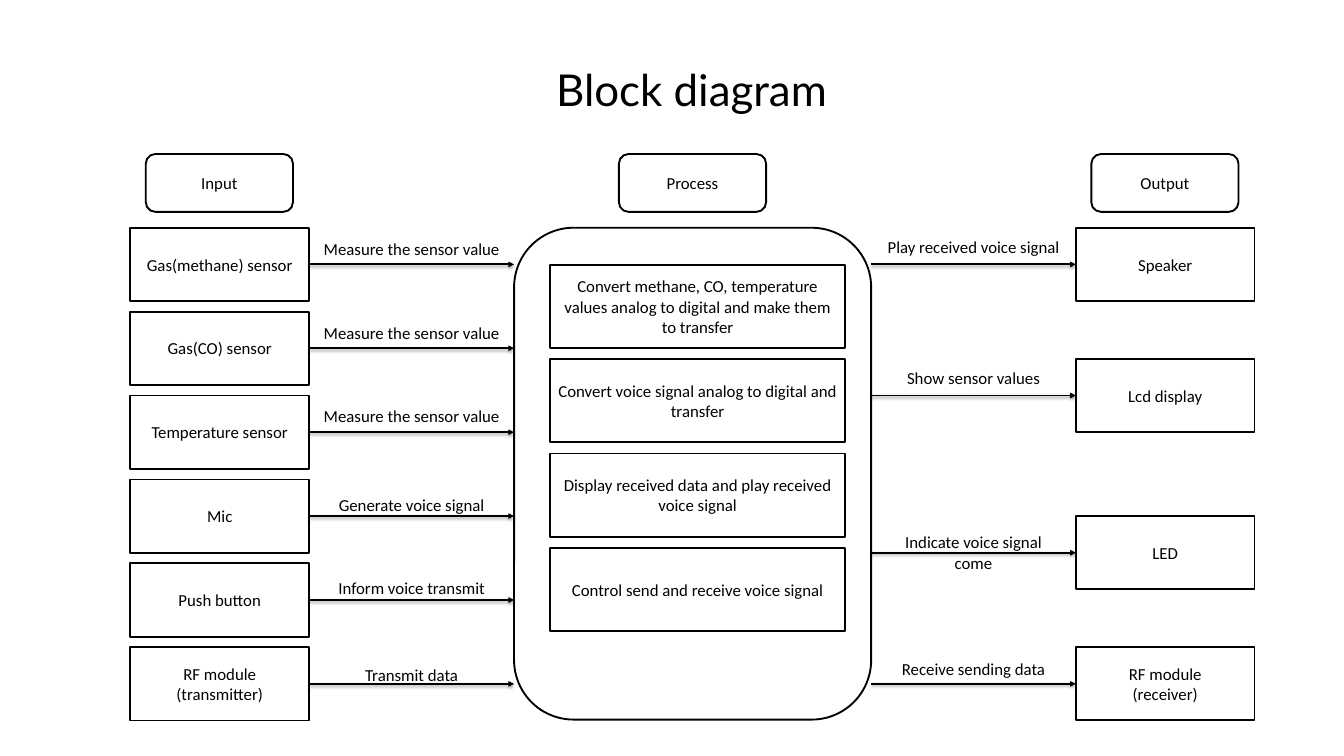
from dataclasses import dataclass

import pptx
import pptx.dml.color
import pptx.enum.shapes
import pptx.enum.text
import pptx.oxml
import pptx.oxml.ns
import pptx.util
from pptx.shapes.autoshape import Shape
from pptx.shapes.connector import Connector
from pptx.slide import Slide

Pt = pptx.util.Pt
Color = pptx.dml.color.RGBColor
Kind = pptx.enum.shapes.MSO_SHAPE
Anchor = pptx.enum.text.MSO_ANCHOR
Align = pptx.enum.text.PP_ALIGN


@dataclass(frozen=True)
class Theme:
    ink: Color = Color(0, 0, 0)
    paper: Color = Color(255, 255, 255)
    title_font: str = "Lato"
    body_font: str = "Calibri"
    title_size: float = 47
    body_size: float = 18
    line_width: float = 2


@dataclass(frozen=True)
class Frame:
    left: float
    top: float
    width: float
    height: float

    @property
    def right(self) -> float:
        return self.left + self.width

    @property
    def middle(self) -> float:
        return self.top + self.height / 2


@dataclass(frozen=True)
class Device:
    """An input or output box with the label of its arrow."""
    name: str
    top: float
    signal: str
    signal_top: float
    signal_width: float = 215


THEME = Theme()
ROW_TOP, ROW_PITCH = 244, 89.9
INPUT_LEFT, OUTPUT_LEFT = 139.7, 1152.7
DEVICE_WIDTH, DEVICE_HEIGHT = 191.5, 78.5
HEADER_WIDTH, HEADER_HEIGHT, HEADER_TOP = 157.7, 62, 165
PROCESSOR = Frame(550.8, ROW_TOP, 382.6, 527)
STEP = Frame(589.7, 283.7, 315.4, 89.3)
STEP_PITCH = 101.1

INPUTS = [
    Device(name, ROW_TOP + row * ROW_PITCH, signal, signal_top)
    for row, (name, signal, signal_top) in enumerate([
        ("Gas(methane) sensor", "Measure the sensor value", 252),
        ("Gas(CO) sensor", "Measure the sensor value", 342.7),
        ("Temperature sensor", "Measure the sensor value", 431.3),
        ("Mic", "Generate voice signal", 526.3),
        ("Push button", "Inform voice transmit", 614.9),
        ("RF module\n(transmitter)", "Transmit data", 708.5),
    ])
]
OUTPUTS = [
    Device("Speaker", ROW_TOP, "Play received voice signal", 249.8),
    Device("Lcd display", 384.5, "Show sensor values", 390.2),
    Device("LED", 553, "Indicate voice signal come", 566.6, 180),
    Device("RF module\n(receiver)", 693.4, "Receive sending data", 702),
]
STEPS = [
    "Convert methane, CO, temperature values analog to digital and make them to transfer",
    "Convert voice signal analog to digital and transfer",
    "Display received data and play received voice signal",
    "Control send and receive voice signal",
]
HEADERS = [("Input", 156.2), ("Process", 663.1), ("Output", 1169.3)]

ARROW_SHADOW = (
    f'<a:effectLst {pptx.oxml.ns.nsdecls("a")}>'
    f'<a:outerShdw blurRad="{Pt(3.1)}" dist="{Pt(1.6)}" dir="5400000" rotWithShape="0">'
    '<a:srgbClr val="000000"><a:alpha val="38000"/></a:srgbClr>'
    '</a:outerShdw></a:effectLst>'
)
ARROW_HEAD = f'<a:tailEnd {pptx.oxml.ns.nsdecls("a")} type="triangle"/>'


def write_text(box: Shape, text: str) -> None:
    box.text_frame.word_wrap = True
    box.text_frame.text = text
    for paragraph in box.text_frame.paragraphs:
        paragraph.alignment = Align.CENTER
        paragraph.font.name = THEME.body_font
        paragraph.font.size = Pt(THEME.body_size)
        paragraph.font.color.rgb = THEME.ink


def add_box(page: Slide, kind: Kind, frame: Frame, text: str = "") -> Shape:
    box = page.shapes.add_shape(
        kind, Pt(frame.left), Pt(frame.top), Pt(frame.width), Pt(frame.height))
    box.shadow.inherit = False
    box.fill.solid()
    box.fill.fore_color.rgb = THEME.paper
    box.line.color.rgb = THEME.ink
    box.line.width = Pt(THEME.line_width)
    if text:
        box.text_frame.vertical_anchor = Anchor.MIDDLE
        write_text(box, text)
    return box


def add_arrow(page: Slide, start: float, end: float, height: float) -> Connector:
    arrow = page.shapes.add_connector(
        pptx.enum.shapes.MSO_CONNECTOR.STRAIGHT, Pt(start), Pt(height), Pt(end), Pt(height))
    arrow.line.color.rgb = THEME.ink
    arrow.line.width = Pt(THEME.line_width)
    arrow.line._get_or_add_ln().append(pptx.oxml.parse_xml(ARROW_HEAD))
    arrow._element.spPr.append(pptx.oxml.parse_xml(ARROW_SHADOW))
    return arrow


def add_device(page: Slide, device: Device, is_input: bool) -> None:
    """Draw the box, its arrow to or from the processor, and the label."""
    left = INPUT_LEFT if is_input else OUTPUT_LEFT
    frame = Frame(left, device.top, DEVICE_WIDTH, DEVICE_HEIGHT)
    box = add_box(page, Kind.RECTANGLE, frame, device.name)
    if is_input:
        start, end = frame.right, PROCESSOR.left
    else:
        start, end = PROCESSOR.right, frame.left
    arrow = add_arrow(page, start, end, frame.middle)
    if is_input:
        arrow.begin_connect(box, 3)
    else:
        arrow.end_connect(box, 1)
    center = (start + end) / 2
    label = page.shapes.add_textbox(
        Pt(center - device.signal_width / 2), Pt(device.signal_top),
        Pt(device.signal_width), Pt(29))
    write_text(label, device.signal)


def add_title(page: Slide, text: str) -> None:
    title = page.shapes.title
    title.left, title.top, title.width, title.height = Pt(138), Pt(35.3), Pt(1206), Pt(81.4)
    title.text_frame.text = text
    title.text_frame.auto_size = pptx.enum.text.MSO_AUTO_SIZE.NONE
    title.text_frame.vertical_anchor = Anchor.TOP
    paragraph = title.text_frame.paragraphs[0]
    paragraph.alignment = Align.CENTER
    paragraph.line_spacing = 1.5
    paragraph.space_after = Pt(6)
    paragraph.font.name = THEME.title_font
    paragraph.font.size = Pt(THEME.title_size)
    paragraph.font.color.rgb = THEME.ink


def main() -> None:
    deck = pptx.Presentation()
    deck.slide_width, deck.slide_height = Pt(1440), Pt(810)
    page = deck.slides.add_slide(deck.slide_layouts.get_by_name("Title Only"))
    add_title(page, "Block diagram")
    for text, left in HEADERS:
        header = Frame(left, HEADER_TOP, HEADER_WIDTH, HEADER_HEIGHT)
        add_box(page, Kind.ROUNDED_RECTANGLE, header, text)
    add_box(page, Kind.ROUNDED_RECTANGLE, PROCESSOR)
    for row, text in enumerate(STEPS):
        step = Frame(STEP.left, STEP.top + row * STEP_PITCH, STEP.width, STEP.height)
        add_box(page, Kind.RECTANGLE, step, text)
    for device in INPUTS:
        add_device(page, device, is_input=True)
    for device in OUTPUTS:
        add_device(page, device, is_input=False)
    deck.save("out.pptx")


if __name__ == "__main__":
    main()
